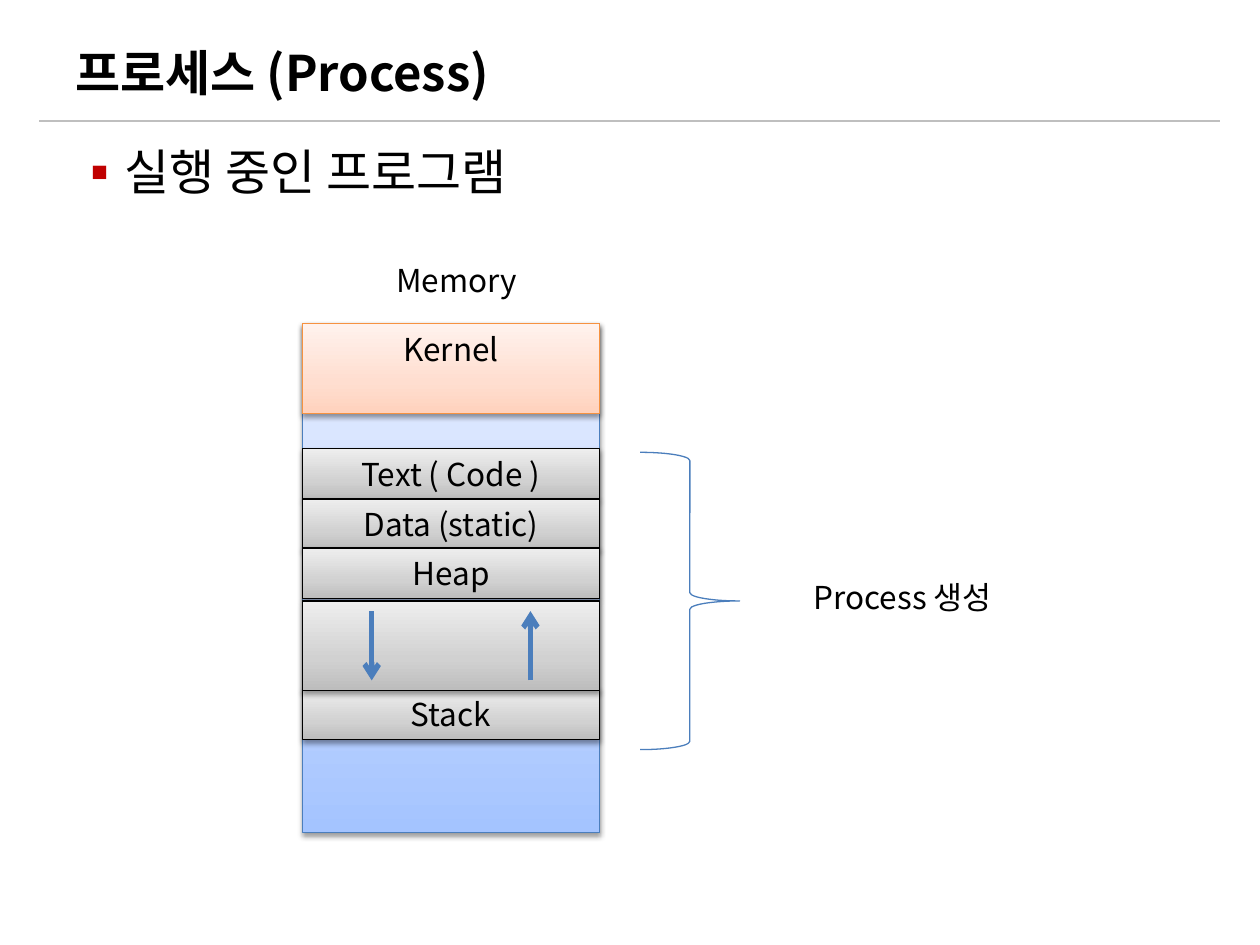
from lxml import etree
from pptx import Presentation
from pptx.dml.color import RGBColor
from pptx.enum.shapes import MSO_CONNECTOR, MSO_SHAPE
from pptx.enum.text import MSO_ANCHOR, PP_ALIGN
from pptx.oxml import parse_xml
from pptx.oxml.ns import nsdecls, qn
from pptx.util import Inches, Pt

RECT, BRACE = MSO_SHAPE.RECTANGLE, MSO_SHAPE.RIGHT_BRACE
STRAIGHT = MSO_CONNECTOR.STRAIGHT
TOP, MIDDLE = MSO_ANCHOR.TOP, MSO_ANCHOR.MIDDLE
LEFT, CENTER = PP_ALIGN.LEFT, PP_ALIGN.CENTER

BLUE = "4B7EBC"
BLUES = ("A4C4FF", "BFD4FF", "E6EEFF")
GRAYS = ("BDBDBD", "D1D1D1", "EEEEEE")
ORANGES = ("FFD2BD", "FFDED0", "FFF2ED")


def rgb(value):
    return RGBColor.from_string(value)


class Deck:
    font = "Noto Sans CJK KR"
    ink = "000000"

    def __init__(self, width, height):
        self.prs = Presentation()
        self.prs.slide_width, self.prs.slide_height = Inches(width), Inches(height)
        self.s = self.prs.slides.add_slide(self.prs.slide_layouts[6])

    def label(self, sp, text, size, align, anchor=TOP, bold=False):
        tf = sp.text_frame
        tf.word_wrap = True
        tf.vertical_anchor = anchor
        p = tf.paragraphs[0]
        p.alignment = align
        r = p.add_run()
        r.text = text
        r.font.size, r.font.bold, r.font.name = Pt(size), bold, self.font
        r.font.color.rgb = rgb(self.ink)
        etree.SubElement(r._r.get_or_add_rPr(), qn("a:ea"), typeface=self.font)
        return p

    def text(self, box, text, size=18, align=CENTER, anchor=TOP, bold=False):
        sp = self.s.shapes.add_textbox(*map(Inches, box))
        return self.label(sp, text, size, align, anchor, bold)

    def bullet(self, box, text, size, mark, color):
        p = self.text(box, text, size, LEFT)
        p.space_before = Pt(size * 0.2)
        pPr = p._p.get_or_add_pPr()
        pPr.set("marL", str(Inches(0.38)))
        pPr.set("indent", str(-Inches(0.38)))
        clr = etree.SubElement(pPr, qn("a:buClr"))
        etree.SubElement(clr, qn("a:srgbClr"), val=color)
        etree.SubElement(pPr, qn("a:buFont"), typeface=self.font)
        etree.SubElement(pPr, qn("a:buChar"), char=mark)

    def shape(self, kind, box, line):
        sp = self.s.shapes.add_shape(kind, *map(Inches, box))
        sp.shadow.inherit = False
        sp.fill.background()
        sp.line.color.rgb = rgb(line)
        sp.line.width = Pt(0.75)
        return sp

    def block(self, box, colors, line, text=None):
        sp = self.shape(RECT, box, line)
        stops = "".join(
            f'<a:gs pos="{pos}"><a:srgbClr val="{c}"/></a:gs>'
            for pos, c in zip((0, 35000, 100000), colors))
        spPr = sp._element.spPr
        spPr.replace(spPr.find(qn("a:noFill")), parse_xml(
            f'<a:gradFill {nsdecls("a")} rotWithShape="1"><a:gsLst>{stops}</a:gsLst>'
            '<a:lin ang="16200000" scaled="0"/></a:gradFill>'))
        spPr.find(qn("a:effectLst")).append(parse_xml(
            f'<a:outerShdw {nsdecls("a")} blurRad="{Pt(3.1)}" dist="{Pt(1.6)}" '
            'dir="5400000" rotWithShape="0"><a:srgbClr val="000000">'
            '<a:alpha val="38000"/></a:srgbClr></a:outerShdw>'))
        if text:
            self.label(sp, text, 18, CENTER)

    def line(self, start, end, color, width, arrow=False):
        c = self.s.shapes.add_connector(STRAIGHT, *map(Inches, start + end))
        c.line.color.rgb = rgb(color)
        c.line.width = Pt(width)
        spPr = c._element.spPr
        if arrow:
            etree.SubElement(spPr.find(qn("a:ln")), qn("a:tailEnd"), type="arrow")
        etree.SubElement(spPr, qn("a:effectLst"))


deck = Deck(10, 7.5)
deck.line((0.31, 0.96), (9.68, 0.96), "BFBFBF", 0.75)
deck.text((0.5, 0.3, 9, 0.54), "프로세스 (Process)", 28, LEFT, MIDDLE, True)
deck.bullet((0.5, 1.07, 9, 5.91), "실행 중인 프로그램", 28, "▪", "C00000")

LEFT_EDGE, WIDTH, ROW = 2.4, 2.36, 0.4
deck.block((LEFT_EDGE, 2.57, WIDTH, 4.04), BLUES, BLUE)
deck.text((2.56, 2.02, 2.13, ROW), "Memory")
for top, name in ((3.56, "Text ( Code )"), (3.96, "Data (static)"),
                  (4.35, "Heap"), (5.47, "Stack")):
    deck.block((LEFT_EDGE, top, WIDTH, ROW), GRAYS, deck.ink, name)
deck.block((LEFT_EDGE, 2.57, WIDTH, 0.71), ORANGES, "F69240", "Kernel")
deck.block((LEFT_EDGE, 4.77, WIDTH, 0.71), GRAYS, deck.ink)

deck.line((2.95, 4.85), (2.95, 5.4), BLUE, 3, arrow=True)
deck.line((4.21, 5.4), (4.21, 4.85), BLUE, 3, arrow=True)
deck.shape(BRACE, (5.08, 3.59, 0.79, 2.36), BLUE)
deck.text((6.1, 4.54, 2.13, ROW), "Process 생성")

deck.prs.save("out.pptx")
